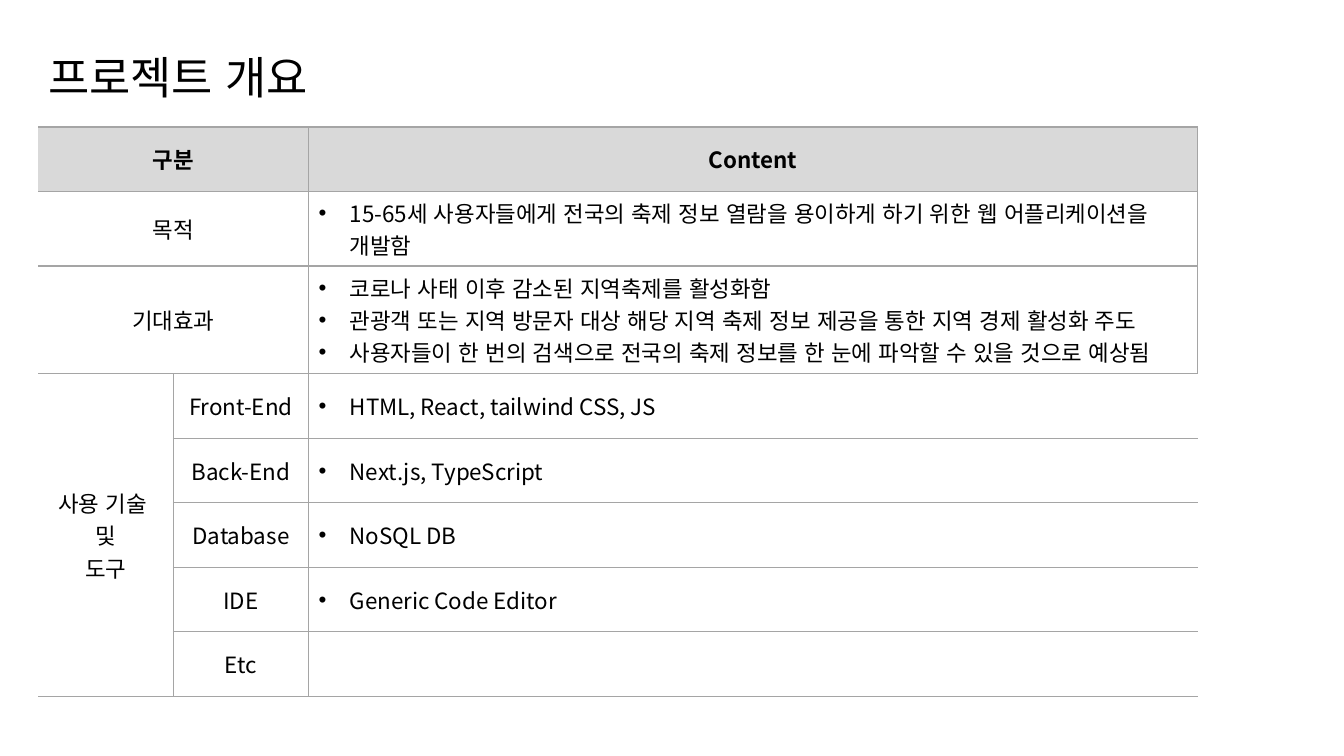
import pptx
import pptx.util
import pptx.dml.color
import pptx.enum.lang
import pptx.enum.text
import pptx.oxml
import pptx.oxml.ns

Inches, Pt = pptx.util.Inches, pptx.util.Pt
ALIGN = pptx.enum.text.PP_ALIGN
MIDDLE = pptx.enum.text.MSO_ANCHOR.MIDDLE
KOREAN = pptx.enum.lang.MSO_LANGUAGE_ID.KOREAN
qn = pptx.oxml.ns.qn

TITLE = "프로젝트 개요"
HEADER = ("구분", "Content")
GOALS = [
    ("목적", ["15-65세 사용자들에게 전국의 축제 정보 열람을 용이하게 하기 위한 웹 어플리케이션을 개발함"]),
    ("기대효과", [
        "코로나 사태 이후 감소된 지역축제를 활성화함",
        "관광객 또는 지역 방문자 대상 해당 지역 축제 정보 제공을 통한 지역 경제 활성화 주도",
        "사용자들이 한 번의 검색으로 전국의 축제 정보를 한 눈에 파악할 수 있을 것으로 예상됨",
    ]),
]
TOOLS_TITLE = ["사용 기술 ", "및", "도구"]
TOOLS = [
    ("Front-End", ["HTML, React, tailwind CSS, JS"]),
    ("Back-End", ["Next.js, TypeScript"]),
    ("Database", ["NoSQL DB"]),
    ("IDE", ["Generic Code Editor"]),
    ("Etc", []),
]

FONT = "Noto Sans CJK KR"
COLORS = {"text": "000000", "header": "D9D9D9", "body": "FFFFFF", "border": "A5A5A5"}
NO_STYLE = "{2D5ABB26-0587-4C30-8999-92F81FD0307C}"
LEFT, WIDTH = 0.38, 11.5
COLUMNS = (1.34, 1.34, 8.82)
ROW_HEIGHT = 0.64
GOAL_HEIGHTS = [0.74, 1.07]
HEIGHTS = [ROW_HEIGHT] + GOAL_HEIGHTS + [ROW_HEIGHT] * len(TOOLS)
INDENT = Inches(0.31)


def color(name):
    return pptx.dml.color.RGBColor.from_string(COLORS[name])


def add_span(para, text, size, bold=False):
    span = para.add_run()
    span.text = text
    span.font.size = Pt(size)
    span.font.bold = bold
    span.font.name = FONT
    span.font.language_id = KOREAN
    span.font.color.rgb = color("text")
    east_asian = pptx.oxml.parse_xml(f'<a:ea {pptx.oxml.ns.nsdecls("a")} typeface="{FONT}"/>')
    span.font._element.find(qn("a:latin")).addnext(east_asian)


def add_bullet(para):
    properties = para._p.get_or_add_pPr()
    properties.set("marL", str(INDENT))
    properties.set("indent", str(-INDENT))
    namespace = pptx.oxml.ns.nsdecls("a")
    properties.append(pptx.oxml.parse_xml(f'<a:buFont {namespace} typeface="Arial"/>'))
    properties.append(pptx.oxml.parse_xml(f'<a:buChar {namespace} char="•"/>'))


def fill_cell(cell, lines, bold=False, bullets=False):
    cell.vertical_anchor = MIDDLE
    for number, line in enumerate(lines):
        frame = cell.text_frame
        para = frame.add_paragraph() if number else frame.paragraphs[0]
        if bullets:
            add_bullet(para)
        else:
            para.alignment = ALIGN.CENTER
        add_span(para, line, 16, bold)


def add_borders(cell, sides):
    properties = cell._tc.get_or_add_tcPr()
    for position, side in enumerate(sides):
        properties.insert(position, pptx.oxml.parse_xml(
            f'<a:ln{side} {pptx.oxml.ns.nsdecls("a")} w="{Pt(1)}"><a:solidFill>'
            f'<a:srgbClr val="{COLORS["border"]}"/></a:solidFill></a:ln{side}>'))


deck = pptx.Presentation()
deck.slide_width, deck.slide_height = Inches(13.33), Inches(7.5)
page = deck.slides.add_slide(deck.slide_layouts[6])

box = page.shapes.add_textbox(Inches(LEFT), Inches(0.32), Inches(WIDTH), Inches(0.94))
box.text_frame.word_wrap = True
box.text_frame.vertical_anchor = MIDDLE
title_para = box.text_frame.paragraphs[0]
title_para.line_spacing = 0.9
add_span(title_para, TITLE, 32)

tools_row = 1 + len(GOALS)
row_count = len(HEIGHTS)
frame = page.shapes.add_table(row_count, len(COLUMNS), Inches(LEFT), Inches(1.26),
                              Inches(WIDTH), Inches(sum(HEIGHTS)))
table = frame.table
table.first_row = table.horz_banding = False
table._tbl.tblPr.find(qn("a:tableStyleId")).text = NO_STYLE
for column, width in zip(table.columns, COLUMNS):
    column.width = Inches(width)
for row, height in zip(table.rows, HEIGHTS):
    row.height = Inches(height)

for row in range(tools_row):
    table.cell(row, 0).merge(table.cell(row, 1))
table.cell(tools_row, 0).merge(table.cell(row_count - 1, 0))

for column, text in zip((0, 2), HEADER):
    fill_cell(table.cell(0, column), [text], bold=True)
fill_cell(table.cell(tools_row, 0), TOOLS_TITLE)
for row, (label, lines) in enumerate(GOALS + TOOLS, 1):
    fill_cell(table.cell(row, 0 if row < tools_row else 1), [label])
    fill_cell(table.cell(row, 2), lines, bullets=True)

for row in range(row_count):
    for column in range(len(COLUMNS)):
        cell = table.cell(row, column)
        cell.fill.solid()
        cell.fill.fore_color.rgb = color("body" if row else "header")
        if not cell.is_spanned:
            add_borders(cell, ("TB", "LTB", "LTB")[column])

deck.save("out.pptx")
